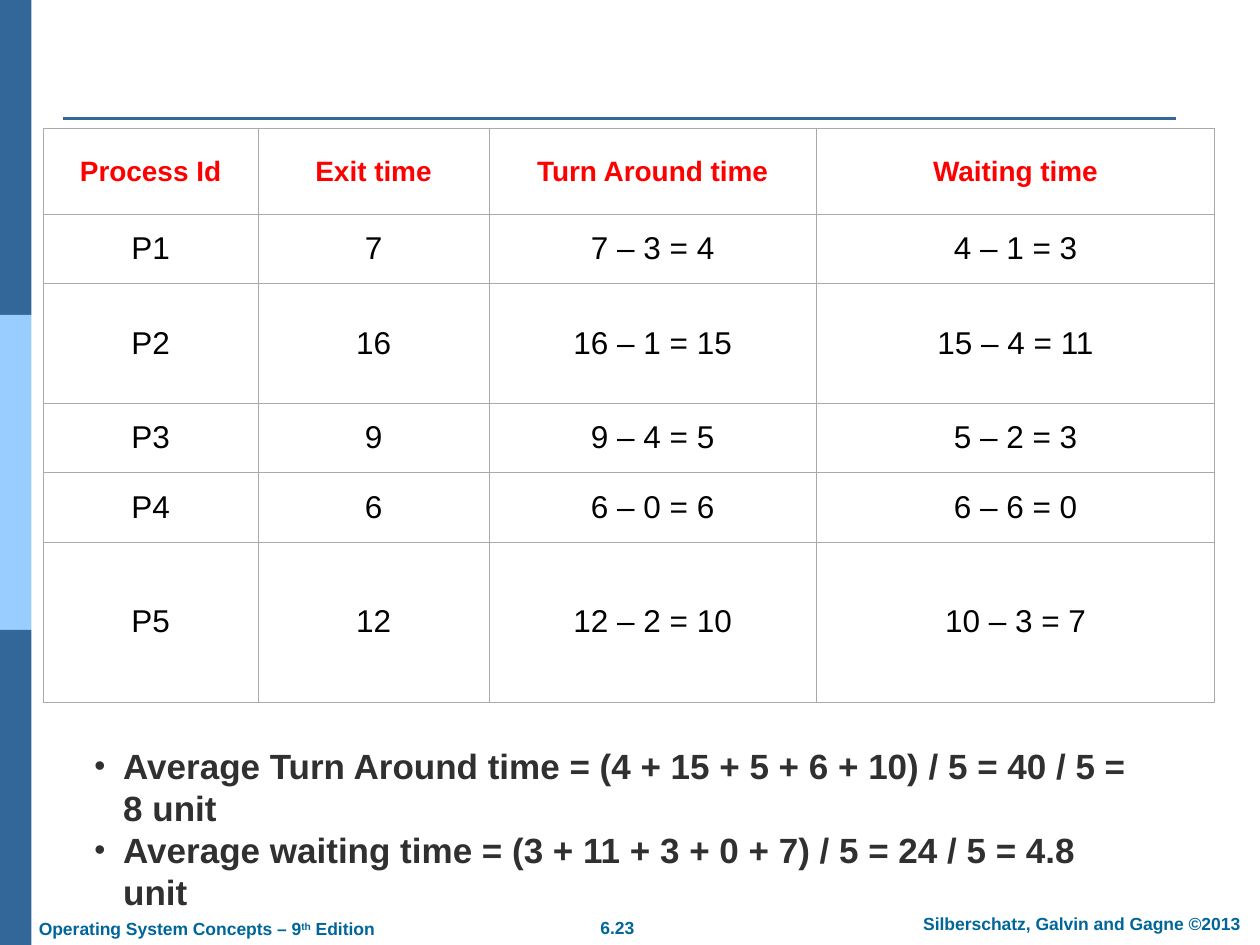
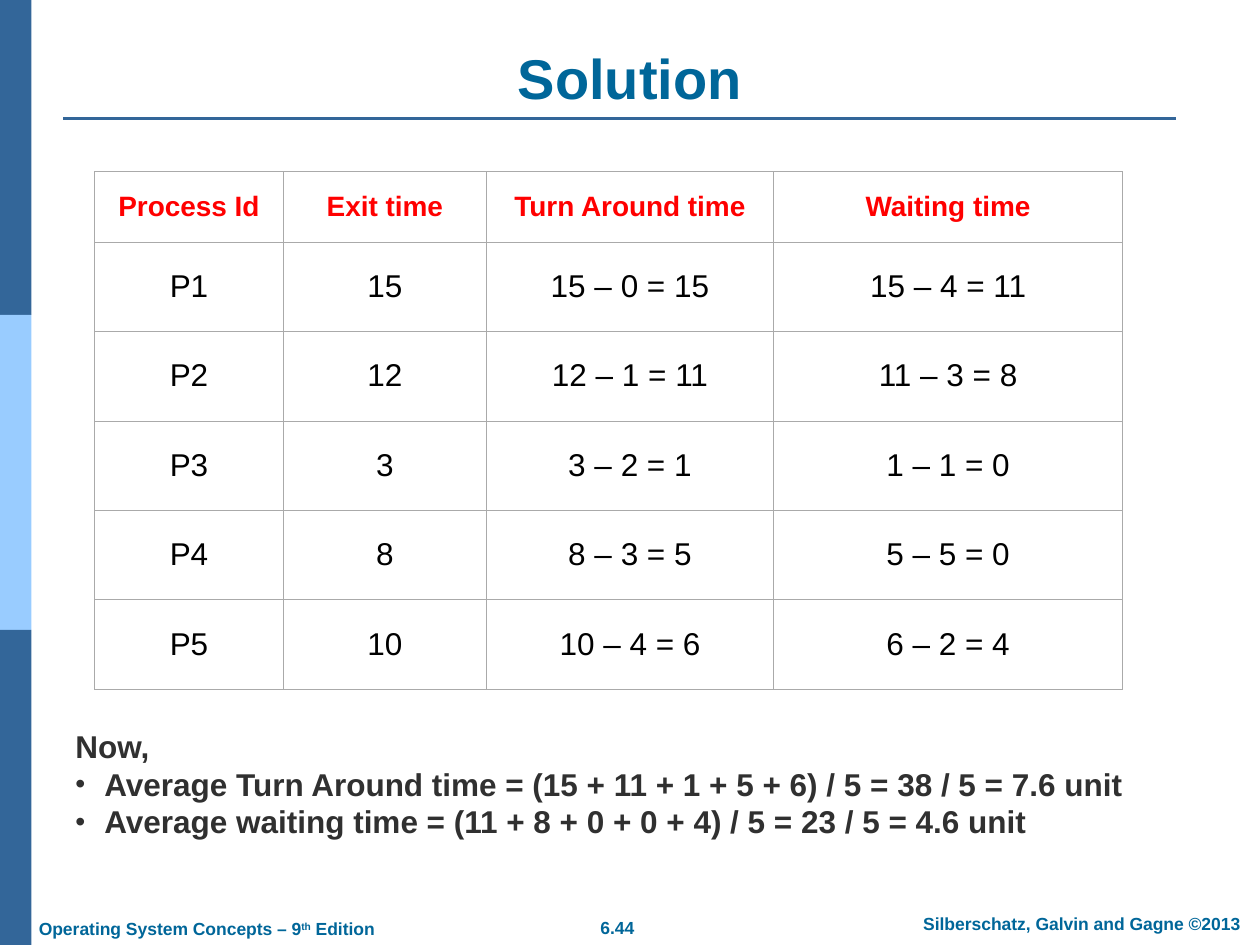
from lxml import etree
from pptx import Presentation
from pptx.dml.color import RGBColor
from pptx.enum.shapes import MSO_CONNECTOR, MSO_SHAPE
from pptx.enum.text import MSO_ANCHOR, PP_ALIGN
from pptx.oxml import parse_xml
from pptx.oxml.ns import nsdecls, qn
from pptx.util import Inches, Pt

LEFT, CENTER = PP_ALIGN.LEFT, PP_ALIGN.CENTER
TOP, MIDDLE, BOTTOM = MSO_ANCHOR.TOP, MSO_ANCHOR.MIDDLE, MSO_ANCHOR.BOTTOM

FONT = "Arial"
DARK_BLUE = RGBColor(0x33, 0x66, 0x99)
LIGHT_BLUE = RGBColor(0x99, 0xCC, 0xFF)
TITLE_BLUE = RGBColor(0x00, 0x66, 0x99)
RED = RGBColor(0xFF, 0x00, 0x00)
BLACK = RGBColor(0x00, 0x00, 0x00)
WHITE = RGBColor(0xFF, 0xFF, 0xFF)
CHARCOAL = RGBColor(0x30, 0x30, 0x30)
GRID_GRAY = RGBColor(0xAA, 0xAA, 0xAA)

BULLET_INDENT = Inches(0.23)
BAND_WIDTH, BAND_HEIGHT = 0.25, 2.5

HEADERS = ["Process Id", "Exit time", "Turn Around time", "Waiting time"]
SLIDES = [
    {
        "number": "6.23",
        "title": None,
        "table_at": (0.34, 1.02),
        "columns": [1.71, 1.83, 2.6, 3.16],
        "heights": [0.68, 0.55, 0.95, 0.55, 0.55, 1.27],
        "cell_margin": 0.07,
        "rows": [
            ["P1", "7", "7 – 3 = 4", "4 – 1 = 3"],
            ["P2", "16", "16 – 1 = 15", "15 – 4 = 11"],
            ["P3", "9", "9 – 4 = 5", "5 – 2 = 3"],
            ["P4", "6", "6 – 0 = 6", "6 – 6 = 0"],
            ["P5", "12", "12 – 2 = 10", "10 – 3 = 7"],
        ],
        "averages_at": (0.65, 5.86, 8.43, 1.44),
        "averages_size": 20,
        "averages": [
            "• Average Turn Around time = (4 + 15 + 5 + 6 + 10) / 5 = 40 / 5 = 8 unit",
            "• Average waiting time = (3 + 11 + 3 + 0 + 7) / 5 = 24 / 5 = 4.8 unit",
        ],
    },
    {
        "number": "6.44",
        "title": "Solution",
        "table_at": (0.75, 1.36),
        "columns": [1.5, 1.61, 2.28, 2.77],
        "heights": [0.56] + [0.71] * 5,
        "cell_margin": 0.1,
        "rows": [
            ["P1", "15", "15 – 0 = 15", "15 – 4 = 11"],
            ["P2", "12", "12 – 1 = 11", "11 – 3 = 8"],
            ["P3", "3", "3 – 2 = 1", "1 – 1 = 0"],
            ["P4", "8", "8 – 3 = 5", "5 – 5 = 0"],
            ["P5", "10", "10 – 4 = 6", "6 – 2 = 4"],
        ],
        "averages_at": (0.5, 5.72, 8.59, 1),
        "averages_size": 18,
        "averages": [
            "Now,",
            "• Average Turn Around time = (15 + 11 + 1 + 5 + 6) / 5 = 38 / 5 = 7.6 unit",
            "• Average waiting time = (11 + 8 + 0 + 0 + 4) / 5 = 23 / 5 = 4.6 unit",
        ],
    },
]


def write_text(frame, lines, *, size, color, bold=True, align=LEFT, anchor=TOP):
    """Fill a frame; a leading "• " makes a bullet, ^marks^ make superscript."""
    frame.word_wrap = True
    frame.vertical_anchor = anchor
    for index, line in enumerate(lines):
        paragraph = frame.paragraphs[0] if index == 0 else frame.add_paragraph()
        paragraph.alignment = align
        if line.startswith("• "):
            line = line[2:]
            properties = paragraph._p.get_or_add_pPr()
            properties.set("marL", str(BULLET_INDENT))
            properties.set("indent", str(-BULLET_INDENT))
            bullet_color = etree.SubElement(properties, qn("a:buClr"))
            etree.SubElement(bullet_color, qn("a:srgbClr"), val=str(color))
            etree.SubElement(properties, qn("a:buSzPct"), val="90000")
            etree.SubElement(properties, qn("a:buFont"), typeface=FONT)
            etree.SubElement(properties, qn("a:buChar"), char="•")
        for position, part in enumerate(line.split("^")):
            span = paragraph.add_run()
            span.text = part
            span.font.name = FONT
            span.font.size = Pt(size)
            span.font.bold = bold
            span.font.color.rgb = color
            if position % 2:
                span._r.get_or_add_rPr().set("baseline", "30000")


def draw_borders(cell):
    properties = cell._tc.get_or_add_tcPr()
    for index, side in enumerate(["lnL", "lnR", "lnT", "lnB"]):
        properties.insert(index, parse_xml(
            f'<a:{side} {nsdecls("a")} w="{Pt(0.25)}"><a:solidFill>'
            f'<a:srgbClr val="{GRID_GRAY}"/></a:solidFill></a:{side}>'))


deck = Presentation()
deck.slide_width, deck.slide_height = Inches(10), Inches(7.5)

for content in SLIDES:
    slide = deck.slides.add_slide(deck.slide_layouts[6])
    shapes = slide.shapes

    # Side bands and title rule
    for index, color in enumerate([DARK_BLUE, LIGHT_BLUE, DARK_BLUE]):
        band = shapes.add_shape(MSO_SHAPE.RECTANGLE, 0, Inches(index * BAND_HEIGHT),
                                Inches(BAND_WIDTH), Inches(BAND_HEIGHT))
        band.shadow.inherit = False
        band.fill.solid()
        band.fill.fore_color.rgb = color
        band.line.fill.background()
    rule = shapes.add_connector(MSO_CONNECTOR.STRAIGHT, Inches(0.5), Inches(0.94),
                                Inches(9.33), Inches(0.94))
    rule.line.color.rgb = DARK_BLUE
    rule.line.width = Pt(1.5)
    etree.SubElement(rule._element.spPr, qn("a:effectLst"))

    # Footers, title and averages
    footer = {"size": 10, "color": TITLE_BLUE}
    texts = [
        ((4.41, 7.23, 0.98, 0.27), [content["number"]], {**footer, "align": CENTER}),
        ((7.1, 7.2, 2.97, 0.27), ["Silberschatz, Galvin and Gagne ©2013"],
         {**footer, "align": CENTER}),
        ((0.21, 7.24, 3.1, 0.27), ["Operating System Concepts – 9^th^ Edition"], footer),
        (content["averages_at"], content["averages"],
         {"size": content["averages_size"], "color": CHARCOAL}),
    ]
    if content["title"]:
        texts.append(((0.5, 0.3, 9, 0.63), [content["title"]],
                      {"size": 32, "color": TITLE_BLUE, "align": CENTER, "anchor": BOTTOM}))
    for place, lines, text_format in texts:
        box = shapes.add_textbox(*map(Inches, place))
        write_text(box.text_frame, lines, **text_format)

    # Process table
    columns, heights = content["columns"], content["heights"]
    place = (*content["table_at"], sum(columns), sum(heights))
    table = shapes.add_table(len(heights), len(columns), *map(Inches, place)).table
    table.horz_banding = False
    for column, width in zip(table.columns, columns):
        column.width = Inches(width)
    for row, height in zip(table.rows, heights):
        row.height = Inches(height)
    for row_index, values in enumerate([HEADERS] + content["rows"]):
        is_header = row_index == 0
        for column_index, value in enumerate(values):
            cell = table.cell(row_index, column_index)
            cell.fill.solid()
            cell.fill.fore_color.rgb = WHITE
            cell.margin_left = cell.margin_right = Inches(content["cell_margin"])
            cell.vertical_anchor = MIDDLE
            draw_borders(cell)
            write_text(cell.text_frame, [value], size=16 if is_header else 18,
                       color=RED if is_header else BLACK, bold=is_header,
                       align=CENTER, anchor=MIDDLE)

deck.save("out.pptx")
